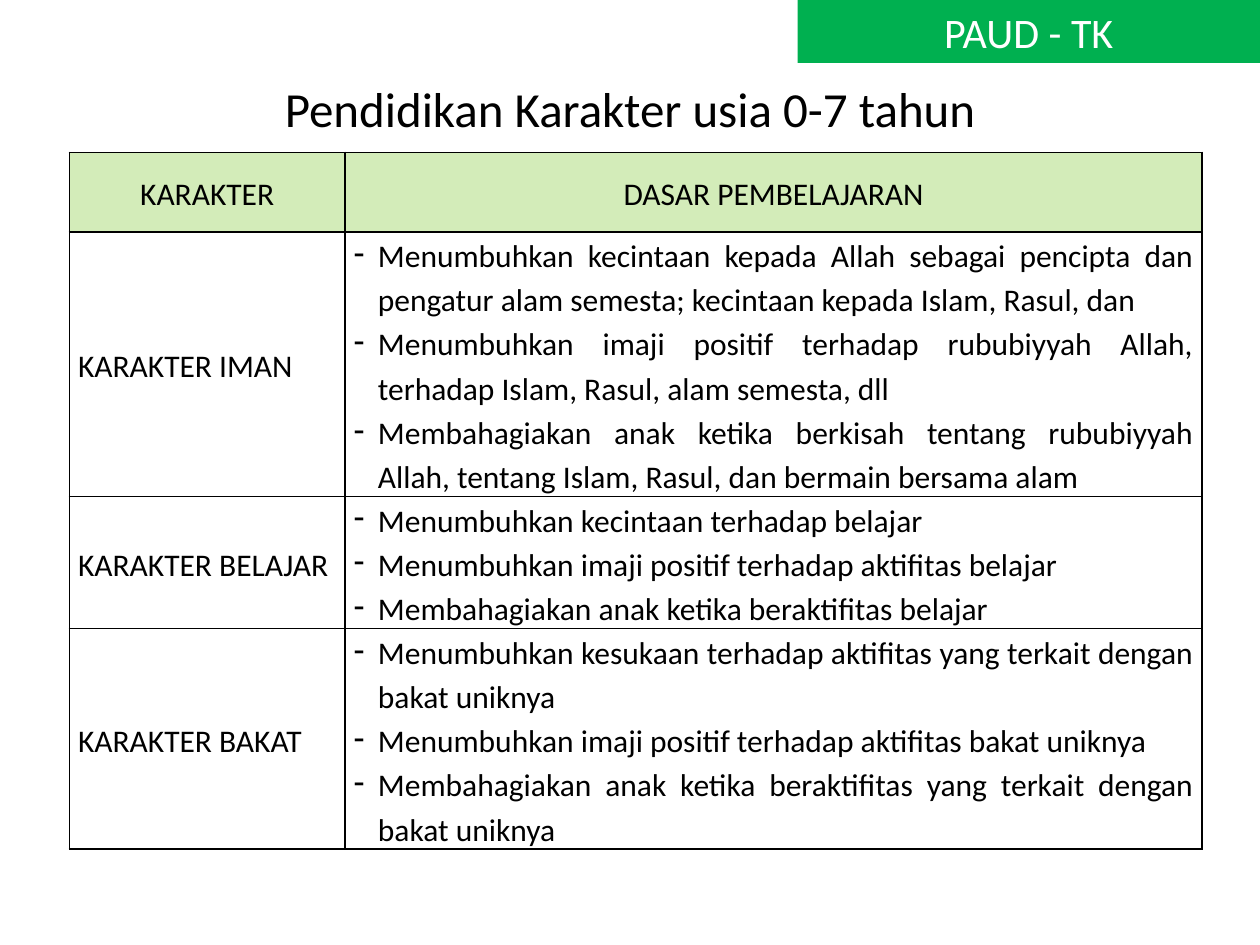
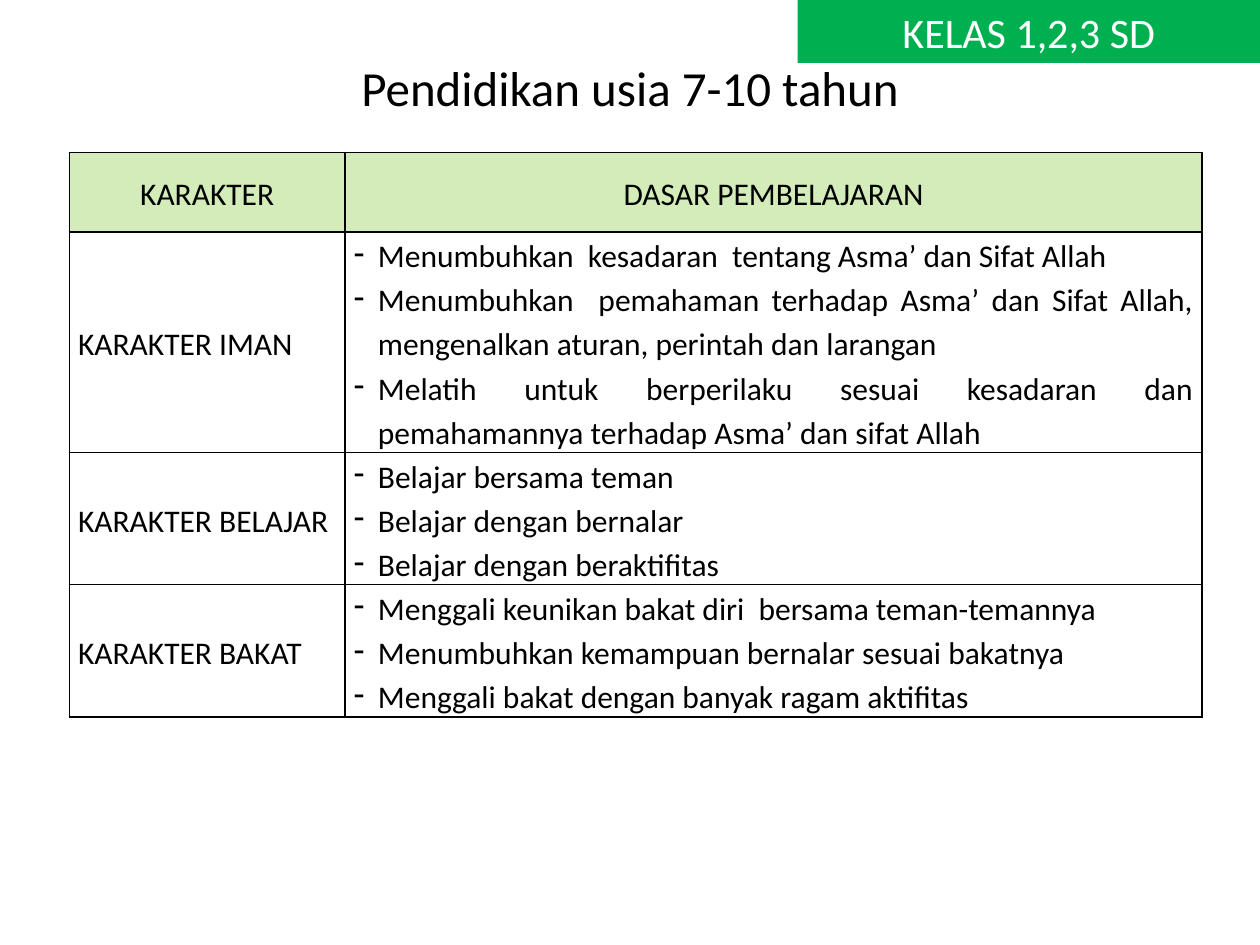
import lxml.etree
import pptx
import pptx.dml.color
import pptx.enum.shapes
import pptx.enum.text
import pptx.oxml.ns
import pptx.util

Inches = pptx.util.Inches
Align = pptx.enum.text.PP_ALIGN
Anchor = pptx.enum.text.MSO_ANCHOR
qn = pptx.oxml.ns.qn

COLORS = {"text": "000000", "band": "00B050", "band_text": "FFFFFF",
          "header": "92D050", "border": "000000"}
FONT = "Calibri"
HEADER_HEIGHT = 0.63
LINE_HEIGHT = 0.35
HEADINGS = ("KARAKTER", "DASAR PEMBELAJARAN")

# Each row: character, number of text lines, learning points
LEVELS = [
    {
        "level": "PAUD - TK",
        "title": "Pendidikan Karakter usia 0-7 tahun",
        "title_top": 0.47,
        "rows": [
            ("KARAKTER IMAN", 6, [
                "Menumbuhkan kecintaan kepada Allah sebagai pencipta dan pengatur alam semesta; "
                "kecintaan kepada Islam, Rasul, dan",
                "Menumbuhkan imaji positif terhadap rububiyyah Allah, terhadap Islam, Rasul, "
                "alam semesta, dll",
                "Membahagiakan anak ketika berkisah tentang rububiyyah Allah, tentang Islam, "
                "Rasul, dan bermain bersama alam",
            ]),
            ("KARAKTER BELAJAR", 3, [
                "Menumbuhkan kecintaan terhadap belajar",
                "Menumbuhkan imaji positif terhadap aktifitas belajar",
                "Membahagiakan anak ketika beraktifitas belajar",
            ]),
            ("KARAKTER BAKAT", 5, [
                "Menumbuhkan kesukaan terhadap aktifitas yang terkait dengan bakat uniknya",
                "Menumbuhkan imaji positif terhadap aktifitas bakat uniknya",
                "Membahagiakan anak ketika beraktifitas yang terkait dengan bakat uniknya",
            ]),
        ],
    },
    {
        "level": "KELAS 1,2,3 SD",
        "title": "Pendidikan usia 7-10 tahun",
        "title_top": 0.3,
        "rows": [
            ("KARAKTER IMAN", 5, [
                "Menumbuhkan  kesadaran  tentang Asma’ dan Sifat Allah",
                "Menumbuhkan  pemahaman terhadap Asma’ dan Sifat Allah, mengenalkan aturan, "
                "perintah dan larangan",
                "Melatih untuk berperilaku sesuai kesadaran dan pemahamannya terhadap Asma’ "
                "dan sifat Allah",
            ]),
            ("KARAKTER BELAJAR", 3, [
                "Belajar bersama teman",
                "Belajar dengan bernalar",
                "Belajar dengan beraktifitas",
            ]),
            ("KARAKTER BAKAT", 3, [
                "Menggali keunikan bakat diri  bersama teman-temannya",
                "Menumbuhkan kemampuan bernalar sesuai bakatnya",
                "Menggali bakat dengan banyak ragam aktifitas",
            ]),
        ],
    },
]


def write_para(para, text, size, color, align):
    para.text = text
    para.alignment = align
    para.font.name = FONT
    para.font.size = pptx.util.Pt(size)
    para.font.color.rgb = pptx.dml.color.RGBColor.from_string(COLORS[color])


def fill_cell(cell, texts, align, bulleted=False):
    cell.vertical_anchor = Anchor.MIDDLE
    cell.margin_left = cell.margin_right = Inches(0.07)
    cell.margin_top = cell.margin_bottom = 0
    frame = cell.text_frame
    for index, text in enumerate(texts):
        para = frame.add_paragraph() if index else frame.paragraphs[0]
        para.line_spacing = 1.15
        if bulleted:
            properties = para._p.get_or_add_pPr()
            properties.set("marL", str(Inches(0.19)))
            properties.set("indent", str(-Inches(0.19)))
            lxml.etree.SubElement(properties, qn("a:buChar"), char="-")
        write_para(para, text, 18, "text", align)

    # Borders come before the fill in the cell properties
    cell_properties = cell._tc.get_or_add_tcPr()
    for side in ("lnL", "lnR", "lnT", "lnB"):
        line = lxml.etree.SubElement(cell_properties, qn("a:" + side), w=str(pptx.util.Pt(1)))
        solid = lxml.etree.SubElement(line, qn("a:solidFill"))
        lxml.etree.SubElement(solid, qn("a:srgbClr"), val=COLORS["border"])
    cell.fill.background()


deck = pptx.Presentation()
deck.slide_width = Inches(10)
deck.slide_height = Inches(7.5)

for level in LEVELS:
    page = deck.slides.add_slide(deck.slide_layouts[6])

    # Title, lifted above the table by its bottom inset
    title = page.shapes.add_textbox(Inches(0.5), Inches(level["title_top"]),
                                    Inches(9), Inches(1.25))
    title.text_frame.word_wrap = True
    title.text_frame.vertical_anchor = Anchor.MIDDLE
    title.text_frame.margin_bottom = Inches(0.52)
    write_para(title.text_frame.paragraphs[0], level["title"], 28, "text", Align.CENTER)

    # Table
    rows = level["rows"]
    heights = [HEADER_HEIGHT] + [LINE_HEIGHT * lines for _, lines, _ in rows]
    table = page.shapes.add_table(len(heights), 2, Inches(0.55), Inches(1.21),
                                  Inches(8.99), Inches(sum(heights))).table
    table.first_row = False
    table.horz_banding = False
    for column, width in zip(table.columns, (2.19, 6.8)):
        column.width = Inches(width)
    for row, height in zip(table.rows, heights):
        row.height = Inches(height)

    # Header cells with a translucent fill
    for column, heading in enumerate(HEADINGS):
        cell = table.cell(0, column)
        fill_cell(cell, [heading], Align.CENTER)
        cell.fill.solid()
        cell.fill.fore_color.rgb = pptx.dml.color.RGBColor.from_string(COLORS["header"])
        tint = cell._tc.tcPr.find(qn("a:solidFill")).find(qn("a:srgbClr"))
        lxml.etree.SubElement(tint, qn("a:alpha"), val="40000")

    # Character rows
    for index, (character, _, points) in enumerate(rows, start=1):
        fill_cell(table.cell(index, 0), [character], Align.LEFT)
        fill_cell(table.cell(index, 1), points, Align.JUSTIFY, bulleted=True)

    # School level band
    band = page.shapes.add_shape(pptx.enum.shapes.MSO_SHAPE.RECTANGLE,
                                 Inches(6.33), 0, Inches(3.67), Inches(0.5))
    band.shadow.inherit = False
    band.fill.solid()
    band.fill.fore_color.rgb = pptx.dml.color.RGBColor.from_string(COLORS["band"])
    band.line.fill.background()
    band.text_frame.word_wrap = True
    band.text_frame.vertical_anchor = Anchor.TOP
    write_para(band.text_frame.paragraphs[0], level["level"], 24, "band_text", Align.CENTER)

deck.save("out.pptx")
